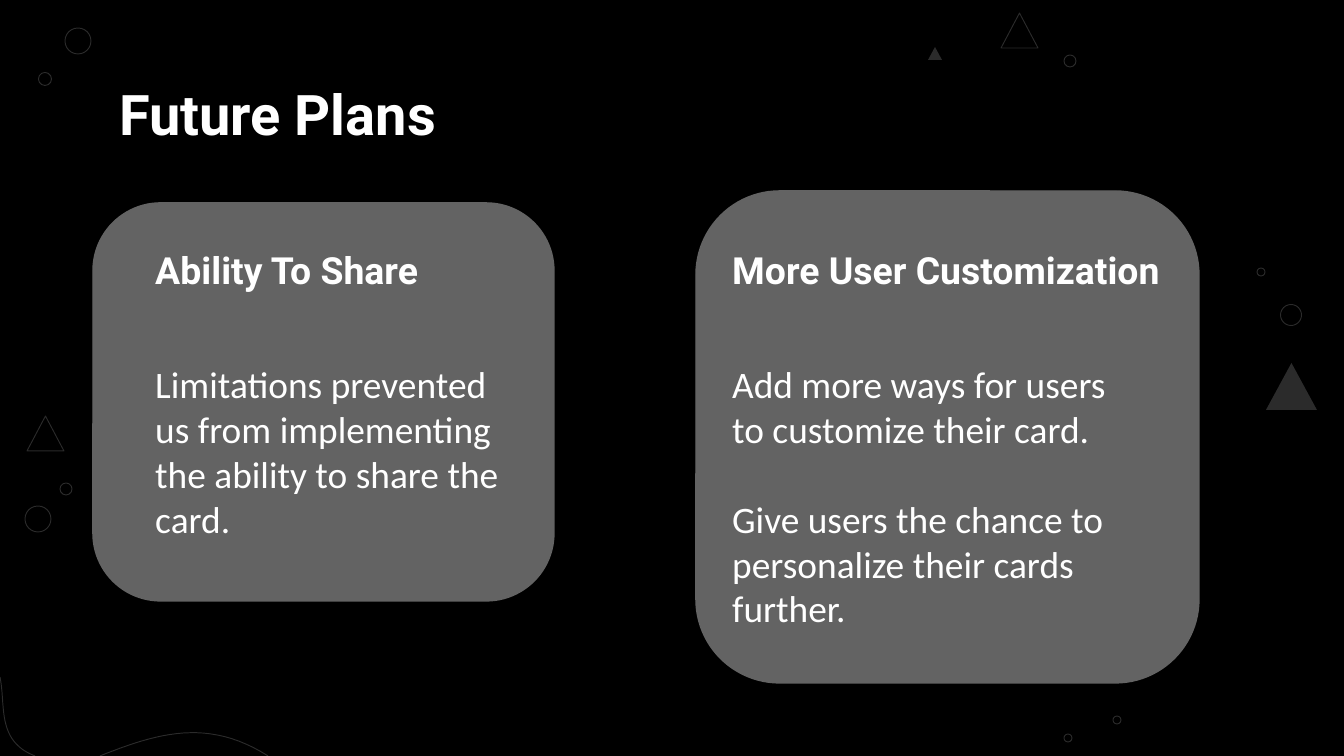
from lxml.etree import SubElement
from pptx import Presentation
from pptx.dml.color import RGBColor
from pptx.enum.shapes import MSO_SHAPE
from pptx.enum.text import MSO_ANCHOR
from pptx.oxml.ns import qn
from pptx.util import Emu, Inches, Pt

EMU_PER_PX = 914400 / 134.4
WHITE, BLACK, GREY = "FFFFFF", "000000", "636363"
FAINT = 17  # percent opacity of the decoration

TITLE = ("Future Plans", (106, 66, 1133, 84))
HEADING_TOP, HEADING_HEIGHT, BODY_TOP = 242, 63, 348
# card: left, top, width, height; then text left, heading width, body width and height
CARDS = [
    {"card": (696, 191, 503, 492), "text": (719, 503, 436, 312),
     "heading": "More User Customization",
     "body": ["Add more ways for users to customize their card.",
              "Give users the chance to personalize their cards further."]},
    {"card": (93, 203, 461, 398), "text": (142, 379, 379, 297),
     "heading": "Ability To Share",
     "body": ["Limitations prevented us from implementing the ability to share the card."]},
]

# centre x, centre y, diameter
RINGS = [(1291, 315, 21), (1261, 272, 8), (45, 79, 13), (78, 41, 26), (1068, 738, 8),
         (1117, 720, 8), (1070, 61, 12), (38, 519, 26), (66, 489, 12)]
# left, top, width, height
OPEN_TRIANGLES = [(27, 416, 37, 35), (1001, 13, 37, 35)]
SOLID_TRIANGLES = [(928, 47, 14, 13), (1266, 363, 51, 47)]
# start, two control points, end
WAVES = [[(0, 677), (6, 705), (-4, 741), (35, 756)],
         [(100, 756), (158, 733), (208, 718), (268, 756)]]


def px(value):
    return Emu(round(value * EMU_PER_PX))


def color(value):
    return RGBColor.from_string(value)


def paint(paint_format, value, opacity=100):
    """Give a fill format a solid colour, see-through below 100 percent."""
    paint_format.solid()
    paint_format.fore_color.rgb = color(value)
    if opacity < 100:
        tone = paint_format._xPr.find(qn("a:solidFill"))[0]
        SubElement(tone, qn("a:alpha"), val=str(opacity * 1000))


def outline(shape):
    shape.shadow.inherit = False
    shape.fill.background()
    paint(shape.line.fill, WHITE, FAINT)
    shape.line.width = Pt(0.5)


def add_shape(page, preset, area):
    shape = page.shapes.add_shape(preset, *map(px, area))
    shape.shadow.inherit = False
    return shape


def add_wave(page, curve, steps=24):
    """Draw a cubic Bezier curve as a fine open polyline."""
    points = []
    for step in range(steps + 1):
        t = step / steps
        weights = ((1 - t) ** 3, 3 * t * (1 - t) ** 2, 3 * t * t * (1 - t), t ** 3)
        points.append(tuple(sum(w * point[axis] for w, point in zip(weights, curve))
                            * EMU_PER_PX for axis in (0, 1)))
    builder = page.shapes.build_freeform(*points[0])
    builder.add_line_segments(points[1:], close=False)
    outline(builder.convert_to_shape())


def add_text(page, area, paragraphs, font, size, bold=False, anchor=MSO_ANCHOR.TOP):
    frame = page.shapes.add_textbox(*map(px, area)).text_frame
    frame.word_wrap = True
    frame.vertical_anchor = anchor
    frame.margin_left = frame.margin_right = Inches(0.1)
    frame.margin_top = frame.margin_bottom = Inches(0.1)
    frame.text = "\n".join(paragraphs)
    for index, paragraph in enumerate(frame.paragraphs):
        if index:
            paragraph.space_before = Pt(24)
        for span in paragraph.runs:
            span.font.name = font
            span.font.size = Pt(size)
            span.font.bold = bold
            span.font.color.rgb = color(WHITE)


def main():
    deck = Presentation()
    deck.slide_width, deck.slide_height = px(1344), px(756)
    page = deck.slides.add_slide(deck.slide_layouts[6])
    paint(page.background.fill, BLACK)

    for wave in WAVES:
        add_wave(page, wave)
    for x, y, size in RINGS:
        outline(add_shape(page, MSO_SHAPE.OVAL, (x - size / 2, y - size / 2, size, size)))
    for area in OPEN_TRIANGLES:
        outline(add_shape(page, MSO_SHAPE.ISOSCELES_TRIANGLE, area))
    for area in SOLID_TRIANGLES:
        triangle = add_shape(page, MSO_SHAPE.ISOSCELES_TRIANGLE, area)
        paint(triangle.fill, WHITE, FAINT)
        triangle.line.fill.background()

    for item in CARDS:
        card = add_shape(page, MSO_SHAPE.ROUNDED_RECTANGLE, item["card"])
        card.adjustments[0] = 0.17
        paint(card.fill, GREY)
        paint(card.line.fill, GREY)
        card.line.width = Pt(0.75)

    title, area = TITLE
    add_text(page, area, [title], "Roboto", 30, bold=True)
    for item in CARDS:
        left, heading_width, body_width, body_height = item["text"]
        add_text(page, (left, HEADING_TOP, heading_width, HEADING_HEIGHT),
                 [item["heading"]], "Roboto", 20, bold=True, anchor=MSO_ANCHOR.BOTTOM)
        add_text(page, (left, BODY_TOP, body_width, body_height), item["body"], "Calibri", 20)

    deck.save("out.pptx")


if __name__ == "__main__":
    main()
